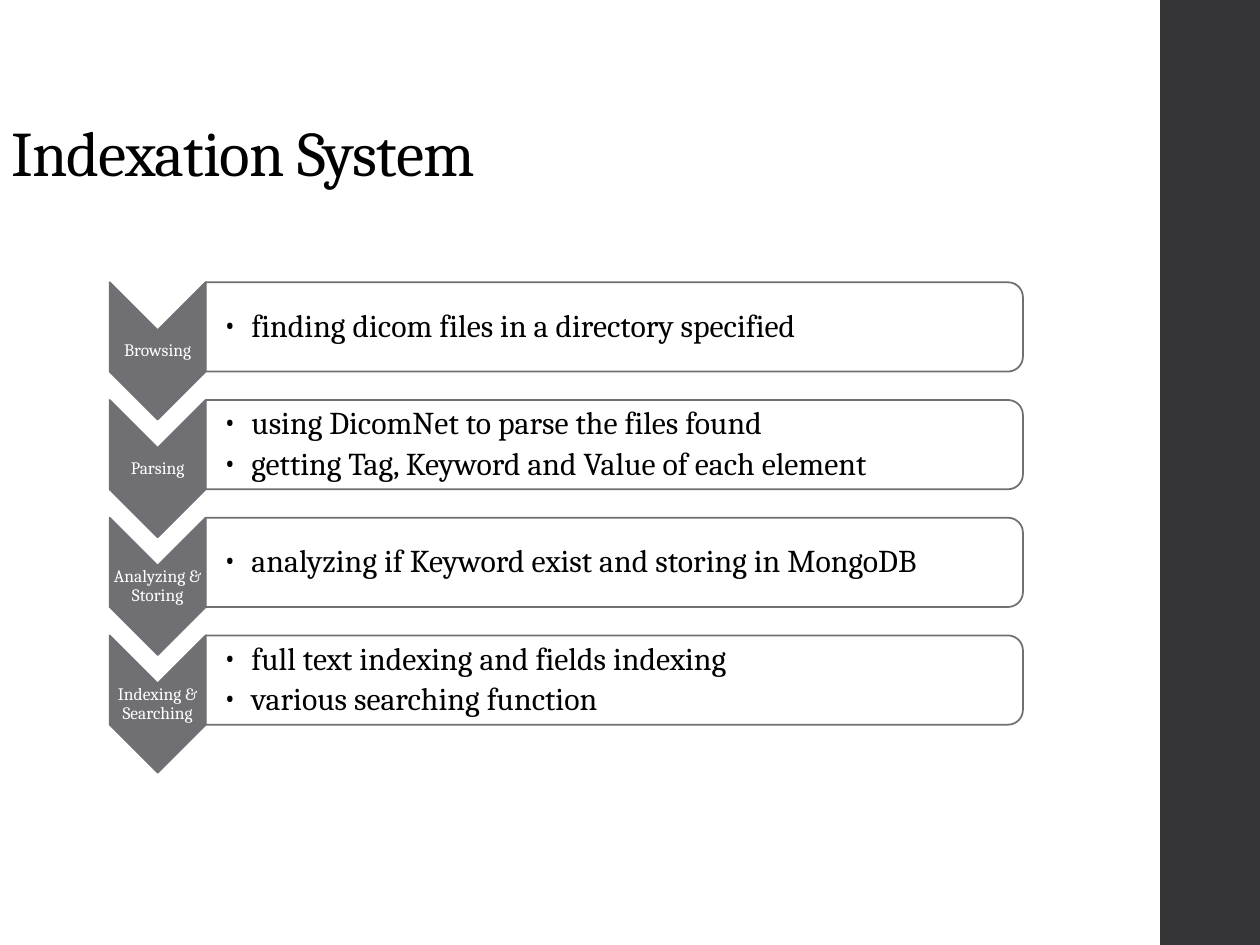
from math import cos, pi, sin

from lxml.etree import SubElement
from pptx import Presentation
from pptx.dml.color import RGBColor as RGB
from pptx.enum.shapes import MSO_SHAPE as SHAPE
from pptx.enum.text import MSO_ANCHOR as ANCHOR, PP_ALIGN as ALIGN
from pptx.oxml.ns import qn
from pptx.util import Emu, Inches, Pt

TITLE = "Indexation System"
STEPS = [
    ("Browsing", ["finding dicom files in a directory specified"]),
    ("Parsing", ["using DicomNet to parse the files found",
                 "getting Tag, Keyword and Value of each element"]),
    ("Analyzing & Storing", ["analyzing if Keyword exist and storing in MongoDB"]),
    ("Indexing & Searching", ["full text indexing and fields indexing",
                              "various searching function"]),
]
THEME = {
    "font": "Cambria", "text": "000000", "light": "FFFFFF",
    "accent": "6F6F74", "sidebar": "353537", "box_alpha": 90,
    "title_size": 40, "label_size": 11, "body_size": 20, "line": 1.11,
}
SLIDE_W, SLIDE_H = Emu(10080625), Emu(7559675)
SIDEBAR_X = Inches(10.15)
CHEVRON_X, BOX_X, BOX_RIGHT = 0.96, 1.8, 8.95
FIRST_Y, PITCH = 2.47, 1.03
BOX_H, POINT_H, RADIUS = 0.78, 0.42, 0.13
ARC_STEPS = 12


def paint(sp, fill, line=None):
    sp.shadow.inherit = False
    sp.fill.solid()
    sp.fill.fore_color.rgb = RGB.from_string(fill)
    if line:
        sp.line.color.rgb = RGB.from_string(line)
        sp.line.width = Pt(THEME["line"])
    else:
        sp.line.fill.background()


def set_alpha(sp, percent):
    color = sp._element.spPr.find(qn("a:solidFill")).find(qn("a:srgbClr"))
    SubElement(color, qn("a:alpha"), val=str(percent * 1000))


def draw_outline(slide, points, fill):
    (x, y), *rest = [(Inches(px), Inches(py)) for px, py in points]
    builder = slide.shapes.build_freeform(x, y)
    builder.add_line_segments(rest, close=True)
    sp = builder.convert_to_shape()
    paint(sp, fill, THEME["accent"])
    return sp


def set_frame(sp, anchor, left, top, right, bottom):
    tf = sp.text_frame
    tf.word_wrap = True
    tf.vertical_anchor = anchor
    tf.margin_left, tf.margin_top = Inches(left), Inches(top)
    tf.margin_right, tf.margin_bottom = Inches(right), Inches(bottom)
    return tf


def add_text(p, text, size, color, align=ALIGN.LEFT, after=0):
    p.alignment = align
    p.line_spacing = 0.9
    p.space_after = Pt(after)
    r = p.add_run()
    r.text = text
    r.font.name = THEME["font"]
    r.font.size = Pt(size)
    r.font.color.rgb = RGB.from_string(color)
    return r


def add_bullet(p):
    pPr = p._p.get_or_add_pPr()
    pPr.set("marL", str(Inches(0.25)))
    pPr.set("indent", str(Inches(-0.25)))
    color = SubElement(pPr, qn("a:buClr"))
    SubElement(color, qn("a:srgbClr"), val=THEME["text"])
    SubElement(pPr, qn("a:buFont"), typeface=THEME["font"])
    SubElement(pPr, qn("a:buChar"), char="•")


def chevron_points(y):
    middle, shoulder = (CHEVRON_X + BOX_X) / 2, y + BOX_H
    return [(BOX_X, y), (BOX_X, shoulder), (middle, shoulder + POINT_H),
            (CHEVRON_X, shoulder), (CHEVRON_X, y), (middle, y + POINT_H)]


def box_points(y):
    def corner(center_y, start):
        angles = [start + pi / 2 * i / ARC_STEPS for i in range(ARC_STEPS + 1)]
        return [(BOX_RIGHT - RADIUS + RADIUS * cos(a), center_y + RADIUS * sin(a))
                for a in angles]

    return [(BOX_X, y), *corner(y + RADIUS, -pi / 2),
            *corner(y + BOX_H - RADIUS, 0), (BOX_X, y + BOX_H)]


def add_step(slide, y, label, details):
    sp = draw_outline(slide, chevron_points(y), THEME["accent"])
    tf = set_frame(sp, ANCHOR.MIDDLE, 0.01, 0.43, 0.01, 0.43)
    add_text(tf.paragraphs[0], label, THEME["label_size"], THEME["light"],
             ALIGN.CENTER, 5)

    sp = draw_outline(slide, box_points(y), THEME["light"])
    set_alpha(sp, THEME["box_alpha"])
    tf = set_frame(sp, ANCHOR.MIDDLE, 0.15, 0.05, 0.05, 0.05)
    for i, detail in enumerate(details):
        p = tf.add_paragraph() if i else tf.paragraphs[0]
        add_bullet(p)
        add_text(p, detail, THEME["body_size"], THEME["text"], after=4)


def main():
    prs = Presentation()
    prs.slide_width, prs.slide_height = SLIDE_W, SLIDE_H
    slide = prs.slides.add_slide(prs.slide_layouts[6])

    sidebar = slide.shapes.add_shape(
        SHAPE.RECTANGLE, SIDEBAR_X, 0, SLIDE_W - SIDEBAR_X, SLIDE_H)
    paint(sidebar, THEME["sidebar"])

    title = slide.shapes.add_textbox(0, Inches(0.94), Inches(9.92), Inches(0.77))
    tf = set_frame(title, ANCHOR.BOTTOM, 0.1, 0.05, 0.1, 0.05)
    r = add_text(tf.paragraphs[0], TITLE, THEME["title_size"], THEME["text"])
    r._r.get_or_add_rPr().set("spc", "-50")

    for i, (label, details) in enumerate(STEPS):
        add_step(slide, FIRST_Y + i * PITCH, label, details)

    prs.save("out.pptx")


if __name__ == "__main__":
    main()
